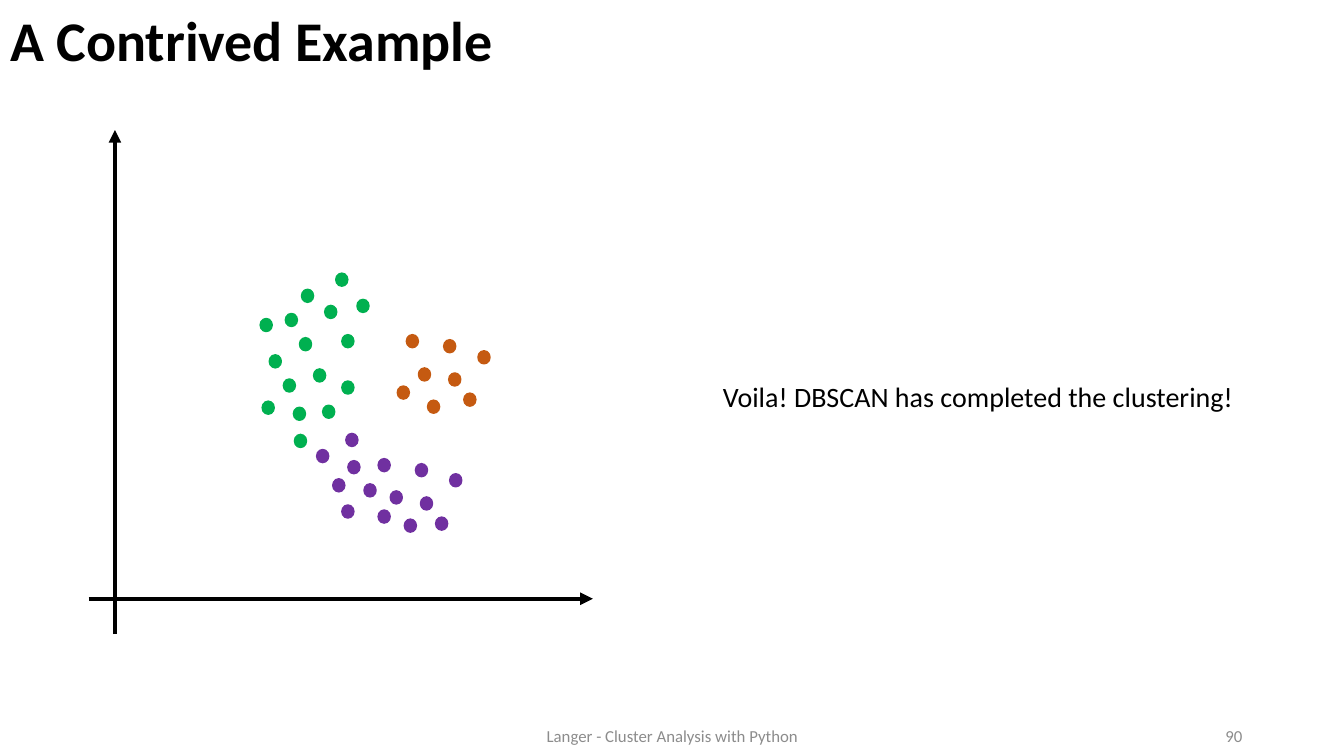
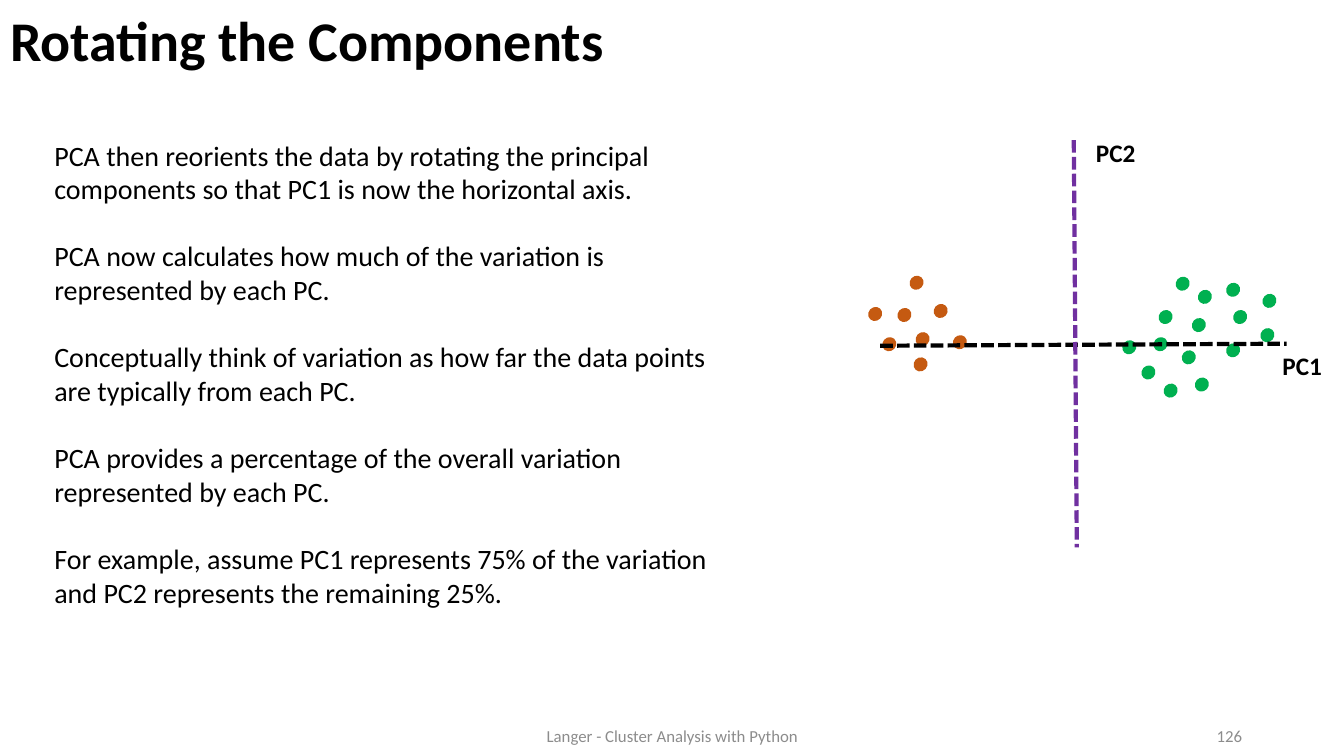
"""Build two slides on clustering and principal components."""
import dataclasses
import typing

import pptx
import pptx.dml.color
import pptx.enum.dml
import pptx.enum.shapes
import pptx.enum.text
import pptx.oxml
import pptx.oxml.ns
import pptx.slide
import pptx.util

Inches = pptx.util.Inches
Pt = pptx.util.Pt
RGB = pptx.dml.color.RGBColor
Align = pptx.enum.text.PP_ALIGN
Anchor = pptx.enum.text.MSO_ANCHOR
Fit = pptx.enum.text.MSO_AUTO_SIZE
Slide = pptx.slide.Slide
Points = list[tuple[float, float]]


@dataclasses.dataclass(frozen=True)
class Theme:
    font: str = "Calibri"
    ink: str = "000000"
    gray: str = "8C8C8C"
    green: str = "00B050"
    orange: str = "C55A11"
    purple: str = "7030A0"
    title: int = 40
    body: int = 20
    label: int = 18
    foot: int = 12
    gap: int = 24
    axis: int = 3


THEME = Theme()


class Box(typing.NamedTuple):
    left: float
    top: float
    width: float
    height: float


class Group(typing.NamedTuple):
    color: str
    points: Points
    turn: float = 0


class Axis(typing.NamedTuple):
    start: tuple[float, float]
    end: tuple[float, float]
    color: str = THEME.ink
    arrow: bool = False


class Text(typing.NamedTuple):
    box: Box
    lines: list[str]
    size: int = THEME.body
    color: str = THEME.ink
    bold: bool = False
    align: Align = Align.LEFT
    anchor: Anchor = Anchor.TOP


CLUSTERS = [
    Group(THEME.green, [
        (3.22, 3.03), (2.91, 4.04), (3.39, 3.32), (2.99, 2.87),
        (3.39, 3.78), (2.97, 3.35), (2.6, 3.98), (2.81, 3.76),
        (3.33, 2.71), (3.54, 2.97), (2.83, 3.11), (2.58, 3.16),
        (2.92, 4.31), (2.67, 3.52), (3.11, 3.66), (3.2, 4.02),
    ]),
    Group(THEME.purple, [
        (3.39, 5.01), (3.43, 4.3), (4.32, 5.13), (3.87, 4.87),
        (3.3, 4.75), (3.14, 4.46), (3.75, 4.55), (3.61, 4.8),
        (4.17, 4.93), (4.12, 4.6), (3.45, 4.57), (3.75, 5.06),
        (4.46, 4.7), (4.01, 5.15),
    ]),
    Group(THEME.orange, [
        (4.6, 3.9), (4.15, 3.65), (4.03, 3.32), (3.94, 3.83),
        (4.45, 3.7), (4.4, 3.37), (4.24, 3.97), (4.74, 3.48),
    ]),
]
ROTATED = [
    Group(THEME.green, [
        (12.24, 3.08), (11.33, 3.63), (12.17, 3.41), (12.17, 2.81),
        (11.86, 3.75), (11.83, 3.16), (11.14, 3.38), (11.45, 3.35),
        (12.53, 2.92), (12.51, 3.26), (11.89, 2.88), (11.67, 2.75),
        (11.5, 3.08), (11.73, 3.48), (11.55, 3.81),
    ], 42),
    Group(THEME.orange, [
        (9.07, 3.55), (8.91, 3.06), (9.03, 2.74), (8.62, 3.05),
        (9.09, 3.3), (9.27, 3.02), (8.76, 3.35), (9.46, 3.33),
    ], 42),
]
AXES = [
    Axis((1.14, 6.29), (1.14, 1.29), arrow=True),
    Axis((0.88, 5.94), (5.88, 5.94), arrow=True),
]
PARTS = [
    Axis((8.73, 3.43), (12.76, 3.41)),
    Axis((10.65, 1.39), (10.68, 5.43), THEME.purple),
]
STEPS = [
    "PCA then reorients the data by rotating the principal components "
    "so that PC1 is now the horizontal axis.",
    "PCA now calculates how much of the variation is represented by each PC.",
    "Conceptually think of variation as how far the data points are "
    "typically from each PC.",
    "PCA provides a percentage of the overall variation represented by each PC.",
    "For example, assume PC1 represents 75% of the variation and PC2 "
    "represents the remaining 25%.",
]


def place(box: Box) -> tuple[int, ...]:
    return tuple(Inches(side) for side in box)


def style(para: typing.Any, size: int, color: str, bold: bool) -> None:
    font = para.font
    font.name, font.size, font.bold = THEME.font, Pt(size), bold
    font.color.rgb = RGB.from_string(color)


def write(slide: Slide, text: Text) -> None:
    frame = slide.shapes.add_textbox(*place(text.box)).text_frame
    frame.word_wrap = True
    frame.vertical_anchor = text.anchor
    top = text.anchor == Anchor.TOP
    frame.auto_size = Fit.SHAPE_TO_FIT_TEXT if top else Fit.NONE
    frame.text = "\n".join(text.lines)
    for rank, para in enumerate(frame.paragraphs):
        para.alignment = text.align
        if rank:
            para.space_before = Pt(THEME.gap)
        style(para, text.size, text.color, text.bold)


def plot(slide: Slide, groups: list[Group]) -> None:
    oval = pptx.enum.shapes.MSO_SHAPE.OVAL
    for group in groups:
        color = RGB.from_string(group.color)
        for left, top in group.points:
            dot = slide.shapes.add_shape(oval, *place(Box(left, top, 0.12, 0.13)))
            dot.rotation = group.turn
            dot.shadow.inherit = False
            dot.fill.solid()
            dot.fill.fore_color.rgb = color
            dot.line.color.rgb = color
            dot.line.width = Pt(1)


def rule(slide: Slide, axis: Axis) -> None:
    ends = [Inches(side) for side in axis.start + axis.end]
    kind = pptx.enum.shapes.MSO_CONNECTOR.STRAIGHT
    link = slide.shapes.add_connector(kind, *ends)
    link.line.color.rgb = RGB.from_string(axis.color)
    link.line.width = Pt(THEME.axis)
    props = link.element.spPr
    if axis.arrow:
        tip = pptx.oxml.parse_xml(
            f'<a:tailEnd {pptx.oxml.ns.nsdecls("a")} type="triangle"/>')
        props.find(pptx.oxml.ns.qn("a:ln")).append(tip)
    else:
        link.line.dash_style = pptx.enum.dml.MSO_LINE.SQUARE_DOT
    props.append(pptx.oxml.parse_xml(
        f'<a:effectLst {pptx.oxml.ns.nsdecls("a")}/>'))


def start(deck: typing.Any, title: str, number: int) -> Slide:
    slide = deck.slides.add_slide(deck.slide_layouts[5])
    head = slide.shapes.title
    head.left, head.top, head.width, head.height = place(Box(0, 0.02, 10.64, 0.83))
    frame = head.text_frame
    frame.text = title
    frame.vertical_anchor = Anchor.MIDDLE
    frame.auto_size = Fit.NONE
    para = frame.paragraphs[0]
    para.alignment = Align.LEFT
    para.line_spacing = 0.9
    style(para, THEME.title, THEME.ink, True)
    foots = [
        (Box(4.42, 7.1, 4.5, 0.4), "Langer - Cluster Analysis with Python", Align.CENTER),
        (Box(9.42, 7.1, 3, 0.4), str(number), Align.RIGHT),
    ]
    for box, line, align in foots:
        write(slide, Text(box, [line], THEME.foot, THEME.gray,
                          align=align, anchor=Anchor.MIDDLE))
    return slide


def draw(slide: Slide, groups: list[Group], axes: list[Axis], texts: list[Text]) -> None:
    plot(slide, groups)
    for axis in axes:
        rule(slide, axis)
    for text in texts:
        write(slide, text)


def label(left: float, top: float, name: str) -> Text:
    return Text(Box(left, top, 0.73, 0.4), [name], THEME.label,
                bold=True, align=Align.RIGHT)


def main() -> None:
    deck = pptx.Presentation()
    deck.slide_width, deck.slide_height = Inches(13.33), Inches(7.5)
    draw(start(deck, "A Contrived Example", 90), CLUSTERS, AXES, [
        Text(Box(7.07, 3.72, 5.82, 0.44),
             ["Voila! DBSCAN has completed the clustering!"]),
    ])
    draw(start(deck, "Rotating the Components", 126), ROTATED, PARTS, [
        Text(Box(0.44, 1.32, 7.02, 4.81), STEPS),
        label(12.48, 3.43, "PC1"),
        label(10.63, 1.31, "PC2"),
    ])
    deck.save("out.pptx")


if __name__ == "__main__":
    main()
